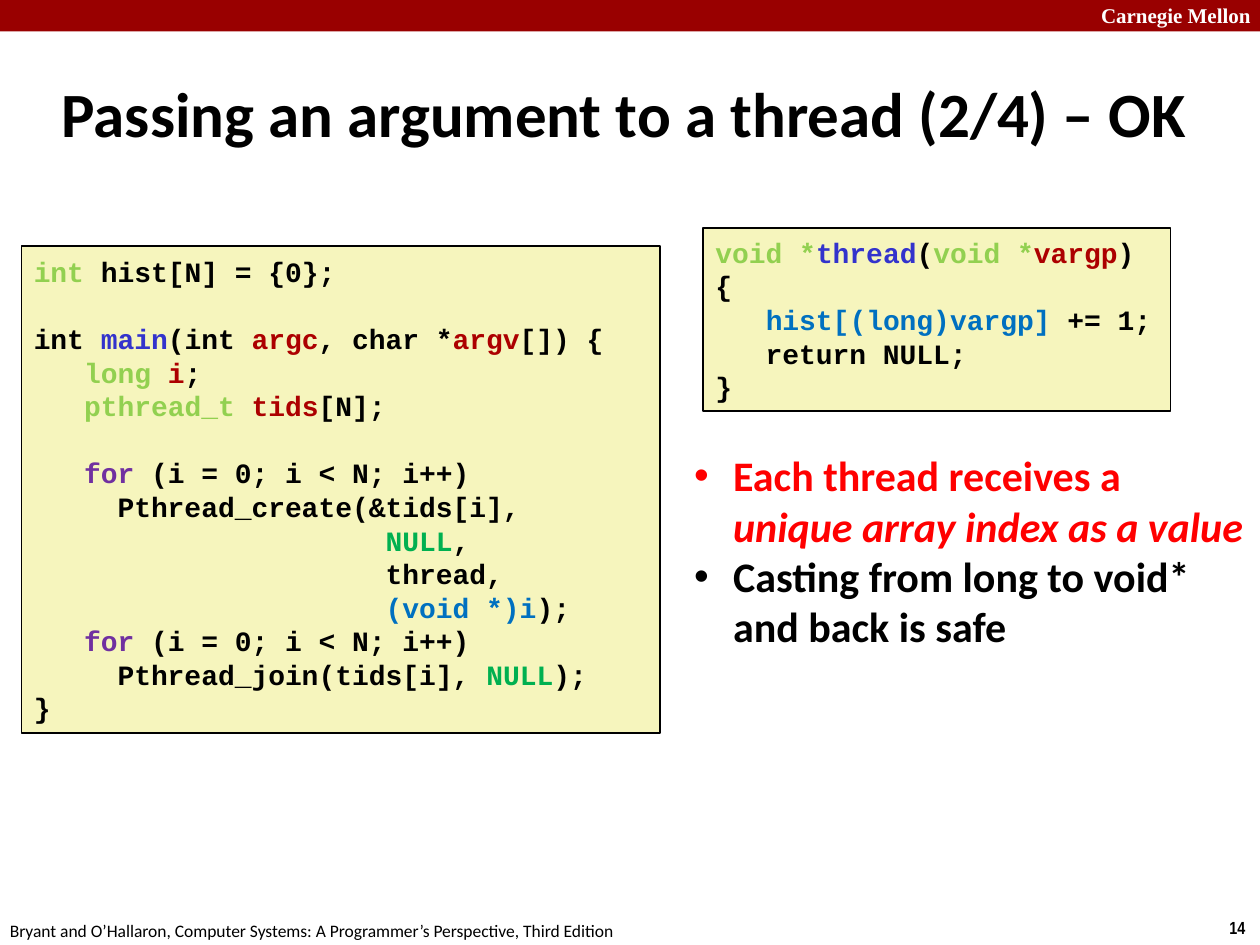
from lxml import etree
from pptx import Presentation
from pptx import util as u
from pptx.dml.color import RGBColor
from pptx.enum import shapes, text
from pptx.oxml.ns import qn

BLACK = RGBColor(0x00, 0x00, 0x00)
WHITE = RGBColor(0xFF, 0xFF, 0xFF)
BAND = RGBColor(0x99, 0x00, 0x00)
CODE_FILL = RGBColor(0xF6, 0xF5, 0xBD)
TYPE = RGBColor(0x92, 0xD0, 0x50)
FUNCTION = RGBColor(0x33, 0x33, 0xCC)
VARIABLE = RGBColor(0xAC, 0x00, 0x00)
KEYWORD = RGBColor(0x70, 0x30, 0xA0)
CONSTANT = RGBColor(0x00, 0xB0, 0x50)
CAST = RGBColor(0x00, 0x70, 0xC0)
RED = RGBColor(0xFF, 0x00, 0x00)


class SlideBuilder:
    """Holds the text styles and the slide being filled."""

    body_font = "Calibri"
    code_font = "Courier New"
    code_size = 16
    bullet_indent = u.Inches(0.31)

    def __init__(self, slide):
        self.slide = slide

    def box(self, left, top, width, height, fill, line=None):
        box = self.slide.shapes.add_shape(
            shapes.MSO_SHAPE.RECTANGLE, u.Inches(left), u.Inches(top),
            u.Inches(width), u.Inches(height))
        box.shadow.inherit = False
        box.fill.solid()
        box.fill.fore_color.rgb = fill
        if line is None:
            box.line.fill.background()
        else:
            box.line.color.rgb = line
            box.line.width = u.Pt(1)
        return box

    def frame(self, left, top, width, height, wrap=True):
        label = self.slide.shapes.add_textbox(
            u.Inches(left), u.Inches(top), u.Inches(width), u.Inches(height))
        label.text_frame.word_wrap = wrap
        return label.text_frame

    def style(self, run, size, color, font, bold=True, italic=False):
        run.font.name = font
        run.font.size = u.Pt(size)
        run.font.bold = bold
        run.font.italic = italic
        run.font.color.rgb = color

    def label(self, words, place, size, color=BLACK, font=body_font,
              bold=True, wrap=True, anchor=text.MSO_ANCHOR.TOP):
        frame = self.frame(*place, wrap=wrap)
        frame.text = words
        frame.vertical_anchor = anchor
        self.style(frame.paragraphs[0].runs[0], size, color, font, bold)

    def code(self, lines, place, wrap=True):
        """Each line is a list of plain strings and (string, color) pairs."""
        frame = self.box(*place, CODE_FILL, BLACK).text_frame
        frame.word_wrap = wrap
        frame.vertical_anchor = text.MSO_ANCHOR.MIDDLE
        frame.text = "\n" * (len(lines) - 1)
        for paragraph, tokens in zip(frame.paragraphs, lines):
            paragraph.alignment = text.PP_ALIGN.LEFT
            for token in tokens:
                words, color = (token, BLACK) if isinstance(token, str) else token
                run = paragraph.add_run()
                run.text = words
                self.style(run, self.code_size, color, self.code_font)
            if not tokens:
                # An empty line takes its height from the end mark
                end = etree.SubElement(paragraph._p, qn("a:endParaRPr"))
                end.set("sz", str(self.code_size * 100))

    def bullets(self, points, place, size):
        """Each point is a color and a list of (string, italic) pairs."""
        frame = self.frame(*place)
        frame.text = "\n" * (len(points) - 1)
        for paragraph, (color, parts) in zip(frame.paragraphs, points):
            properties = paragraph._p.get_or_add_pPr()
            properties.set("marL", str(self.bullet_indent))
            properties.set("indent", str(-self.bullet_indent))
            etree.SubElement(properties, qn("a:buFont")).set("typeface", "Arial")
            etree.SubElement(properties, qn("a:buChar")).set("char", "•")
            for words, italic in parts:
                run = paragraph.add_run()
                run.text = words
                self.style(run, size, color, self.body_font, italic=italic)


def main():
    deck = Presentation()
    deck.slide_width, deck.slide_height = u.Inches(10), u.Inches(7.5)
    page = SlideBuilder(deck.slides.add_slide(deck.slide_layouts[6]))

    # Header band and footer
    page.box(0, 0, 10, 0.25, BAND)
    page.label("Carnegie Mellon", (8.64, -0.03, 1.43, 0.3), 12, WHITE,
               "Times New Roman")
    page.label("14", (9.66, 7.23, 0.34, 0.27), 10, font="Arial Narrow",
               wrap=False)
    page.label("Bryant and O’Hallaron, Computer Systems: "
               "A Programmer’s Perspective, Third Edition",
               (-0.02, 7.25, 5.08, 0.27), 10, bold=False, wrap=False)

    # Main program
    for_loop = ["   ", ("for", KEYWORD), " (i = 0; i < N; i++)"]
    argument_indent = " " * 21
    main_code = [
        [("int ", TYPE), "hist[N] = {0};"],
        [],
        ["int ", ("main", FUNCTION), "(int ", ("argc", VARIABLE),
         ", char *", ("argv", VARIABLE), "[]) {"],
        ["   ", ("long ", TYPE), ("i", VARIABLE), ";"],
        ["   ", ("pthread_t ", TYPE), ("tids", VARIABLE), "[N];"],
        ["    "],
        for_loop,
        ["     Pthread_create(&tids[i],"],
        [argument_indent, ("NULL", CONSTANT), ","],
        [argument_indent + "thread,"],
        [argument_indent, ("(void *)i", CAST), ");"],
        for_loop,
        ["     Pthread_join(tids[i], ", ("NULL", CONSTANT), ");"],
        ["}"],
    ]
    page.code(main_code, (0.17, 1.95, 5.07, 3.87))

    # Thread routine
    thread_code = [
        [("void *", TYPE), ("thread", FUNCTION), "(", ("void *", TYPE),
         ("vargp", VARIABLE), ")"],
        ["{"],
        ["   ", ("hist[(long)vargp]", CAST), " += 1;"],
        ["   return NULL;"],
        ["}"],
    ]
    page.code(thread_code, (5.58, 1.81, 3.71, 1.45), wrap=False)

    # Remarks
    remarks = [
        (RED, [("Each thread receives a ", False),
               ("unique array index as a value", True)]),
        (BLACK, [("Casting from long to void* and back is safe", False)]),
    ]
    page.bullets(remarks, (5.41, 3.52, 4.58, 1.72), 24)

    # Title
    page.label("Passing an argument to a thread (2/4) – OK",
               (0.39, 0.48, 9.29, 0.83), 36, anchor=text.MSO_ANCHOR.MIDDLE)

    deck.save("out.pptx")


if __name__ == "__main__":
    main()
